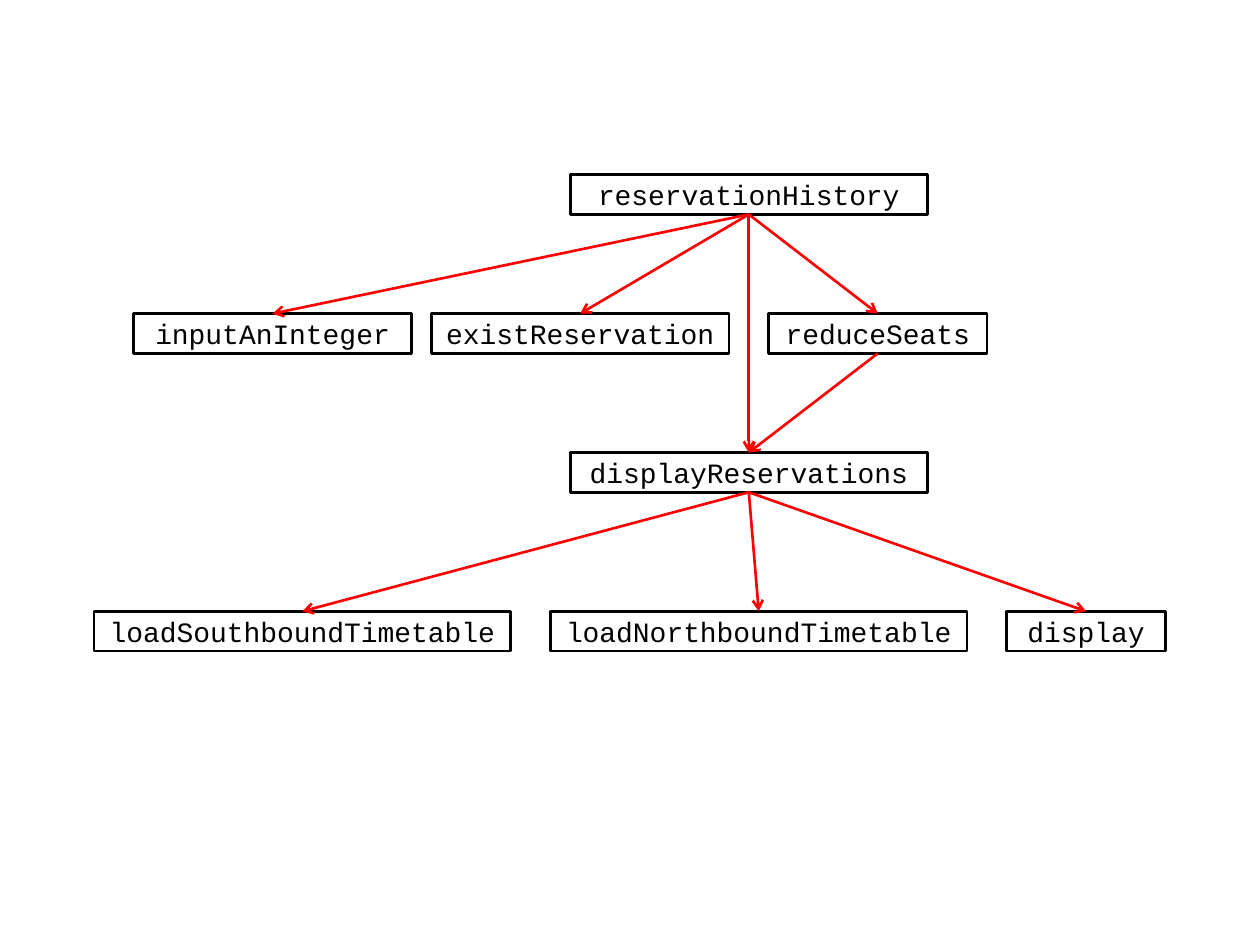
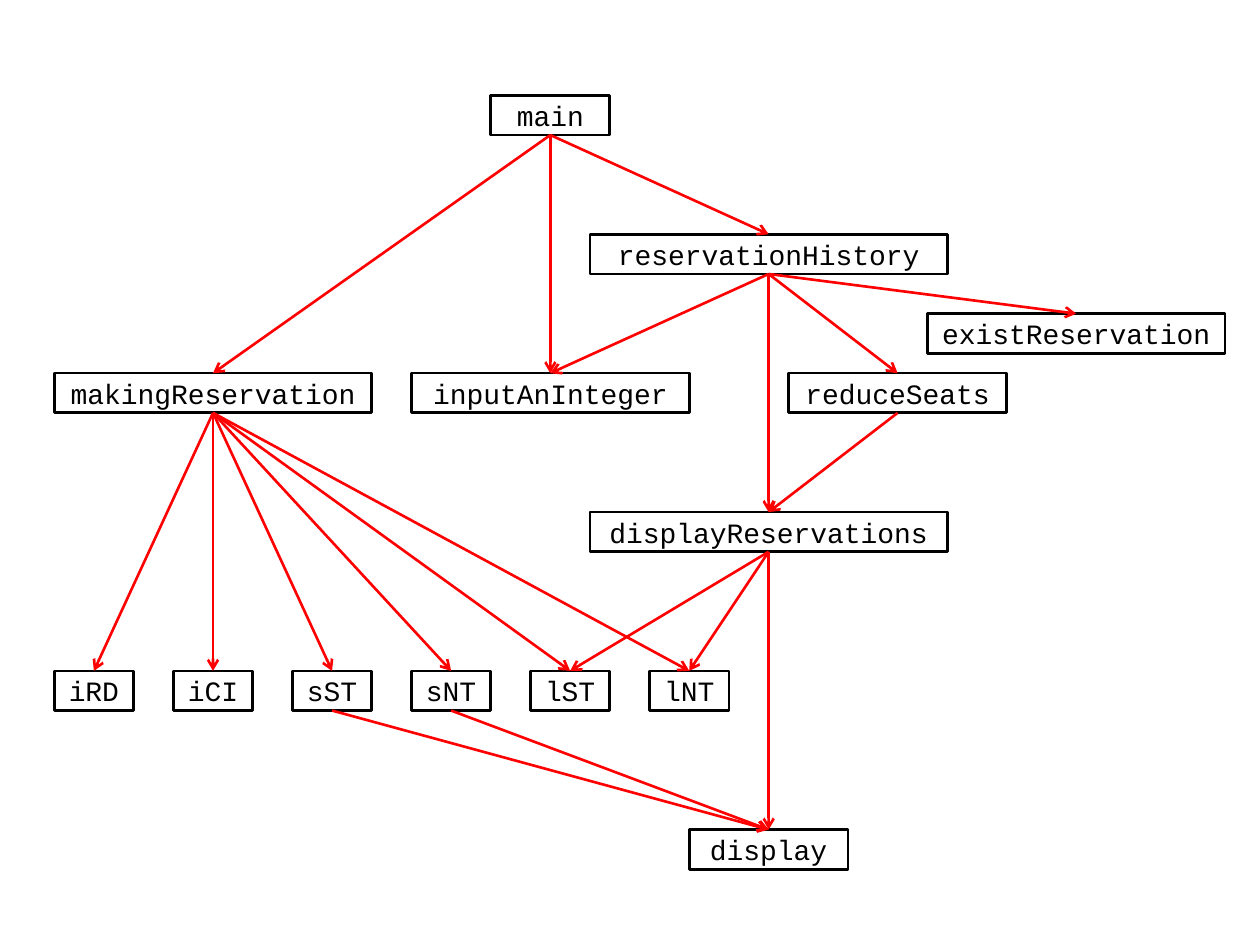
from dataclasses import dataclass

from lxml.etree import SubElement
from pptx import Presentation
from pptx.dml.color import RGBColor
from pptx.enum.shapes import MSO_CONNECTOR as Connector, MSO_SHAPE as Shape
from pptx.enum.text import MSO_ANCHOR as Anchor, PP_ALIGN as Align
from pptx.oxml.ns import qn
from pptx.util import Pt


@dataclass(frozen=True)
class Theme:
    paper: RGBColor = RGBColor(255, 255, 255)
    ink: RGBColor = RGBColor(0, 0, 0)
    call: RGBColor = RGBColor(255, 0, 0)
    font: str = "Courier New"
    text_size: float = 16
    line_width: float = 1.5


THEME = Theme()
GRID = 11.34
LEFT, TOP = 31, 54.5
BOX_ROWS = 2
BOTTOM_SIDE, TOP_SIDE = 2, 0
BLANK_LAYOUT = 6

SHORT_NAMES = ["iRD", "iCI", "sST", "sNT", "lST", "lNT"]
SHORT_COLUMNS, SHORT_STEP = 4, 6

BOX_COLUMNS = {
    "main": 6,
    "display": 8,
    "reduceSeats": 11,
    "inputAnInteger": 14,
    "existReservation": 15,
    "makingReservation": 16,
    "reservationHistory": 18,
    "displayReservations": 18,
    "loadSouthboundTimetable": 21,
    "loadNorthboundTimetable": 21,
} | dict.fromkeys(SHORT_NAMES, SHORT_COLUMNS)

HISTORY_PLACES = {
    "reservationHistory": (26, 4),
    "inputAnInteger": (4, 11),
    "existReservation": (19, 11),
    "reduceSeats": (36, 11),
    "displayReservations": (26, 18),
    "loadSouthboundTimetable": (2, 26),
    "loadNorthboundTimetable": (25, 26),
    "display": (48, 26),
}

PROGRAM_PLACES = {
    "main": (22, 0),
    "reservationHistory": (27, 7),
    "existReservation": (44, 11),
    "makingReservation": (0, 14),
    "inputAnInteger": (18, 14),
    "reduceSeats": (37, 14),
    "displayReservations": (27, 21),
    "display": (32, 37),
} | {name: (SHORT_STEP * i, 29) for i, name in enumerate(SHORT_NAMES)}

SHARED_CALLS = {
    "reservationHistory": ["inputAnInteger", "reduceSeats",
                           "displayReservations", "existReservation"],
    "reduceSeats": ["displayReservations"],
}

HISTORY_CALLS = SHARED_CALLS | {
    "displayReservations": ["loadSouthboundTimetable",
                            "loadNorthboundTimetable", "display"],
}

PROGRAM_CALLS = SHARED_CALLS | {
    "main": ["reservationHistory", "makingReservation", "inputAnInteger"],
    "makingReservation": SHORT_NAMES,
    "sST": ["display"],
    "sNT": ["display"],
    "displayReservations": ["lST", "lNT", "display"],
}


def add_function_box(page, name, column, row):
    box = page.shapes.add_shape(
        Shape.RECTANGLE, Pt(LEFT + column * GRID), Pt(TOP + row * GRID),
        Pt(BOX_COLUMNS[name] * GRID), Pt(BOX_ROWS * GRID))
    box.shadow.inherit = False
    box.fill.solid()
    box.fill.fore_color.rgb = THEME.paper
    box.line.color.rgb = THEME.ink
    box.line.width = Pt(THEME.line_width)

    frame = box.text_frame
    frame.text = name
    frame.word_wrap = False
    frame.vertical_anchor = Anchor.MIDDLE
    frame.margin_left = frame.margin_right = 0
    frame.margin_top = frame.margin_bottom = 0
    para = frame.paragraphs[0]
    para.alignment = Align.CENTER
    span = para.runs[0]
    span.font.name = THEME.font
    span.font.size = Pt(THEME.text_size)
    span.font.color.rgb = THEME.ink
    return box


def add_call_arrow(page, caller, callee):
    arrow = page.shapes.add_connector(Connector.STRAIGHT, 0, 0, 0, 0)
    arrow.begin_connect(caller, BOTTOM_SIDE)
    arrow.end_connect(callee, TOP_SIDE)
    arrow.line.color.rgb = THEME.call
    arrow.line.width = Pt(THEME.line_width)
    SubElement(arrow.line._get_or_add_ln(), qn("a:tailEnd"), type="arrow")
    SubElement(arrow._element.spPr, qn("a:effectLst"))


def add_call_graph(deck, places, calls):
    page = deck.slides.add_slide(deck.slide_layouts[BLANK_LAYOUT])
    boxes = {name: add_function_box(page, name, *place)
             for name, place in places.items()}
    for caller, callees in calls.items():
        for callee in callees:
            add_call_arrow(page, boxes[caller], boxes[callee])


def main():
    deck = Presentation()
    deck.slide_width, deck.slide_height = Pt(720), Pt(540)
    add_call_graph(deck, HISTORY_PLACES, HISTORY_CALLS)
    add_call_graph(deck, PROGRAM_PLACES, PROGRAM_CALLS)
    deck.save("out.pptx")


if __name__ == "__main__":
    main()
